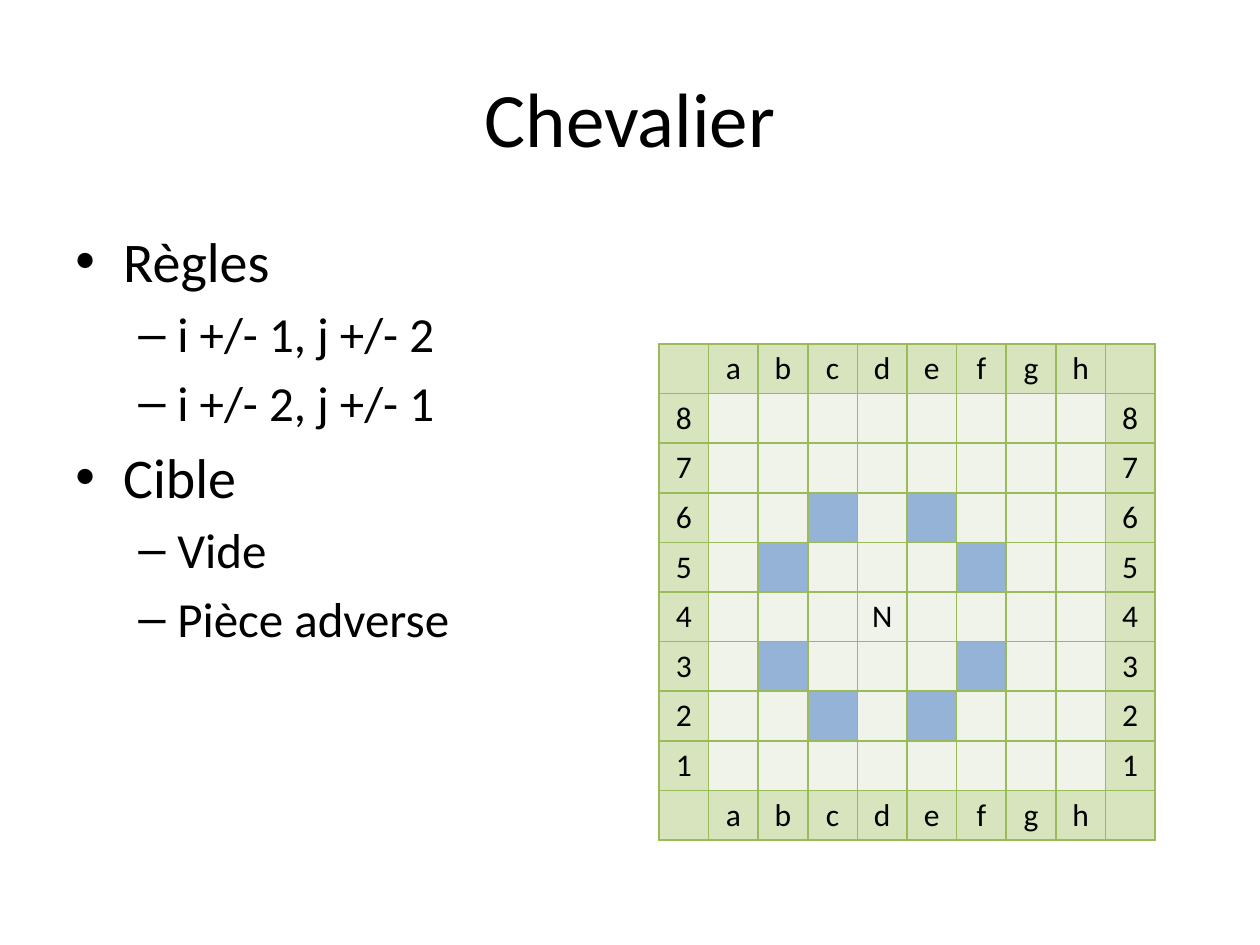
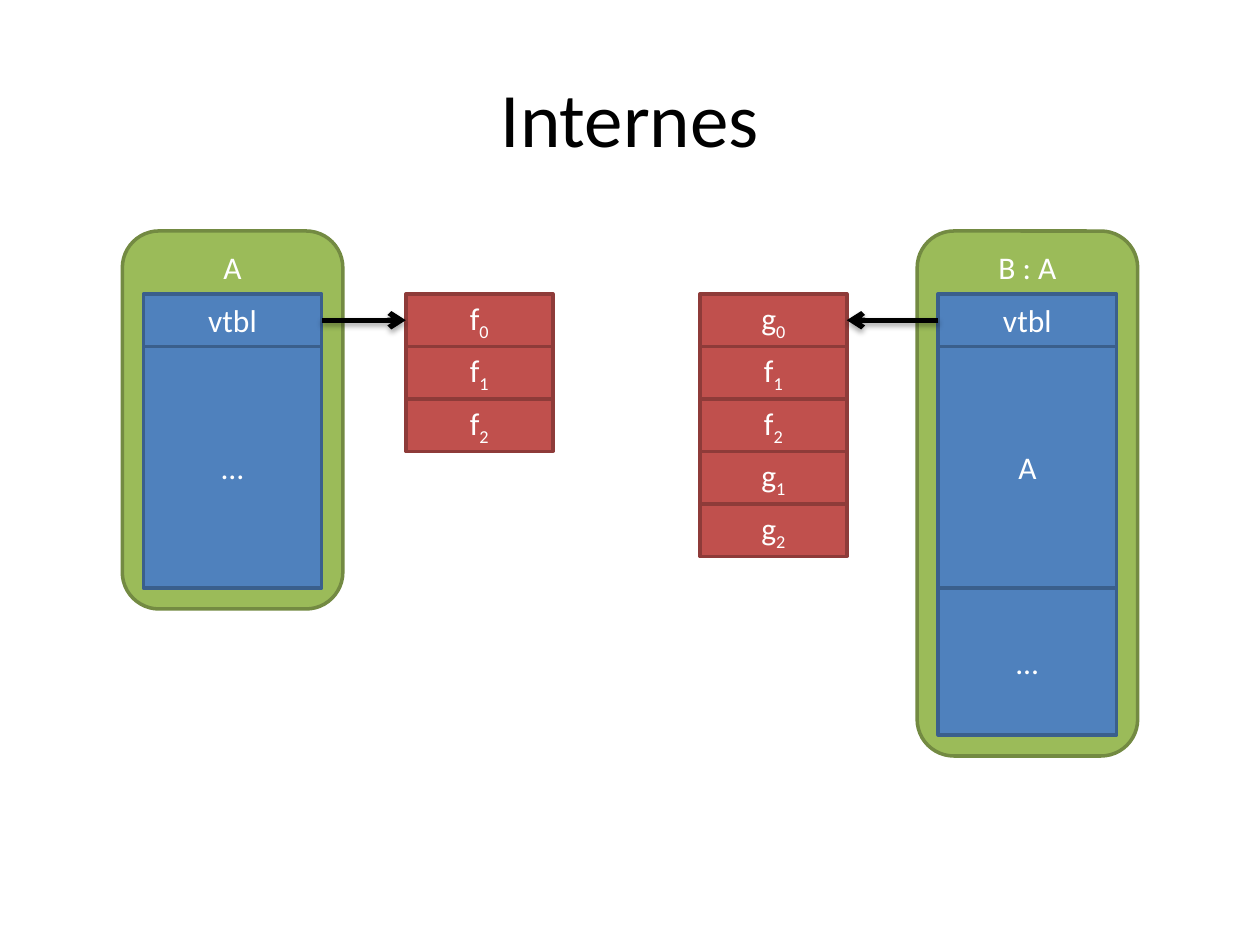
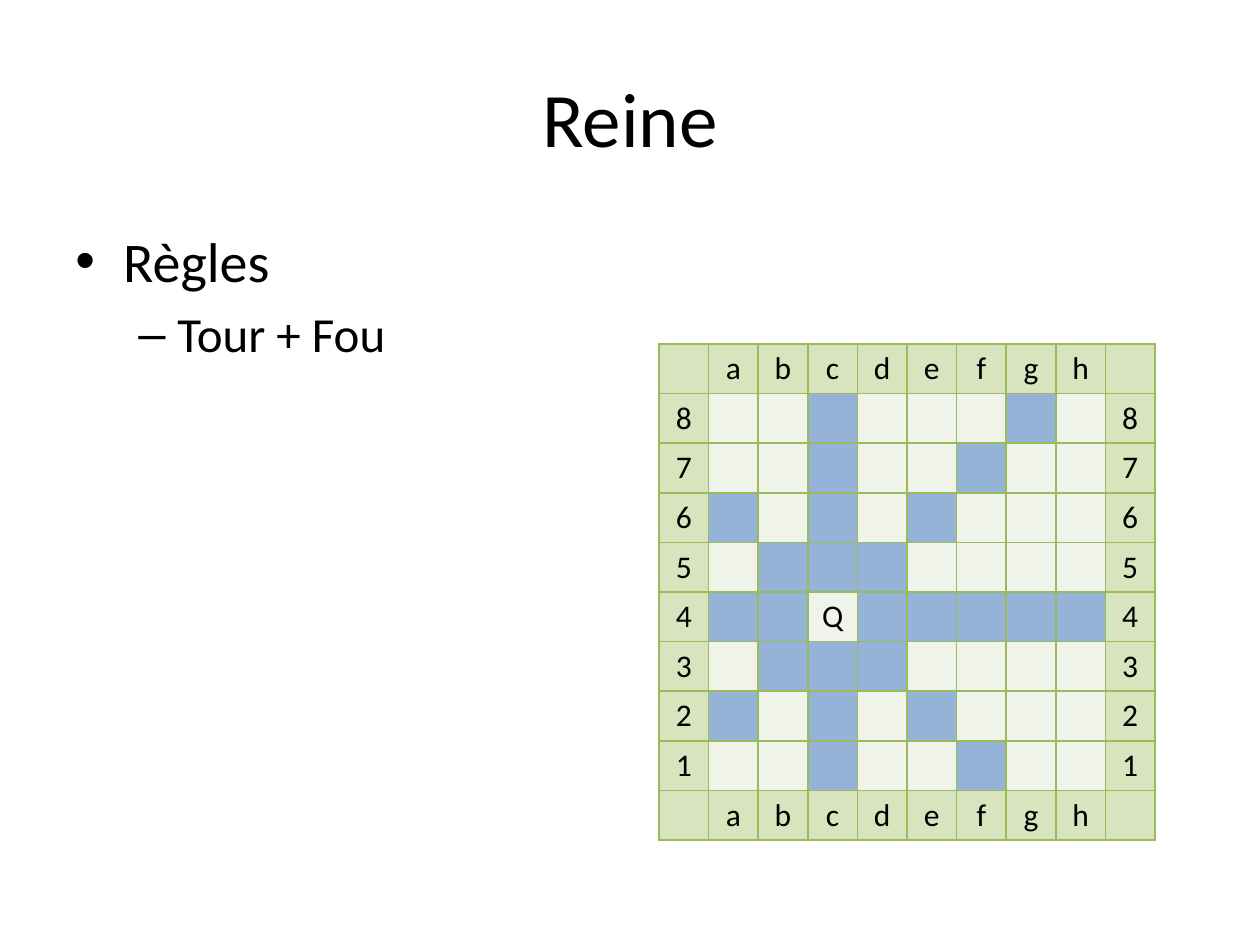
from lxml import etree
from pptx import Presentation
from pptx.dml.color import RGBColor
from pptx.enum.shapes import MSO_CONNECTOR, MSO_SHAPE
from pptx.enum.text import MSO_ANCHOR, PP_ALIGN
from pptx.oxml import parse_xml
from pptx.oxml.ns import qn
from pptx.util import Inches, Pt

RECT, ROUND = MSO_SHAPE.RECTANGLE, MSO_SHAPE.ROUNDED_RECTANGLE
LINE = MSO_CONNECTOR.STRAIGHT
LEFT, CENTER = PP_ALIGN.LEFT, PP_ALIGN.CENTER
TOP, MIDDLE = MSO_ANCHOR.TOP, MSO_ANCHOR.MIDDLE

WIDE, HIGH = 10, 7.5
COLS, ROWS = 24, 18
FONT = "Calibri"
HUES = {
    "ink": "000000", "paper": "FFFFFF",
    "class": "9BBB59", "class_edge": "738A42",
    "field": "4F81BD", "field_edge": "3A5F8C",
    "entry": "C0504D", "entry_edge": "8E3B39",
    "rim": "D7E4BD", "square": "EFF3EA", "move": "95B3D7", "grid": "9BBB59",
}
FILES = "abcdefgh"
RANKS = "87654321"
LEVELS = [("•", 32, 0.38, 0.38), ("–", 28, 0.81, 0.31)]
SHADOW = (
    '<a:effectLst xmlns:a="http://schemas.openxmlformats.org/drawingml/2006/main">'
    '<a:outerShdw blurRad="40000" dist="23000" dir="5400000" rotWithShape="0">'
    '<a:srgbClr val="000000"><a:alpha val="35000"/></a:srgbClr>'
    '</a:outerShdw></a:effectLst>'
)


def hue(name):
    return RGBColor.from_string(HUES[name])


def col(n):
    return Inches(n * WIDE / COLS)


def row(n):
    return Inches(n * HIGH / ROWS)


def write(par, text, size=18, color="ink", align=CENTER):
    par.alignment = align
    base, _, index = text.partition("_")
    for part, low in ((base, False), (index, True)):
        if part:
            run = par.add_run()
            run.text = part
            run.font.name = FONT
            run.font.size = Pt(size)
            run.font.color.rgb = hue(color)
            if low:
                run._r.get_or_add_rPr().set("baseline", "-25000")


def frame(slide, top, height):
    box = slide.shapes.add_textbox(
        Inches(WIDE * 0.05), Inches(top), Inches(WIDE * 0.9), Inches(height))
    box.text_frame.word_wrap = True
    return box.text_frame


def page(deck, title):
    slide = deck.slides.add_slide(deck.slide_layouts[6])
    head = frame(slide, HIGH * 0.04, 1.25)
    head.vertical_anchor = MIDDLE
    write(head.paragraphs[0], title, size=44)
    return slide


def rules(slide, items):
    body = frame(slide, 1.75, 4.95)
    for n, (level, text) in enumerate(items):
        mark, size, left, hang = LEVELS[level]
        par = body.add_paragraph() if n else body.paragraphs[0]
        props = par._p.get_or_add_pPr()
        props.set("marL", str(Inches(left)))
        props.set("indent", str(-Inches(hang)))
        etree.SubElement(props, qn("a:buFont")).set("typeface", "Arial")
        etree.SubElement(props, qn("a:buChar")).set("char", mark)
        if n:
            par.space_before = Pt(size * 0.2)
        write(par, text, size=size, align=LEFT)


def edge(cell):
    props = cell._tc.get_or_add_tcPr()
    for side in ("lnL", "lnR", "lnT", "lnB"):
        line = etree.SubElement(props, qn("a:" + side))
        line.set("w", str(Pt(1)))
        fill = etree.SubElement(line, qn("a:solidFill"))
        etree.SubElement(fill, qn("a:srgbClr")).set("val", HUES["grid"])


def knight(dx, dy):
    return abs(dx * dy) == 2


def queen(dx, dy):
    return (dx, dy) != (0, 0) and (dx * dy == 0 or abs(dx) == abs(dy))


def board(slide, piece, spot, reach):
    count = len(FILES) + 2
    side = Inches(3.94)
    table = slide.shapes.add_table(
        count, count, Inches(5.23), Inches(2.73), side, side).table
    files, ranks = ["", *FILES, ""], ["", *RANKS, ""]
    home = files.index(spot[0]), ranks.index(spot[1])
    for y, rank in enumerate(ranks):
        for x, file in enumerate(files):
            cell = table.cell(y, x)
            if not (file and rank):
                color, text = "rim", file or rank
            else:
                hit = reach(x - home[0], y - home[1])
                color = "move" if hit else "square"
                text = piece if (x, y) == home else ""
            edge(cell)
            cell.fill.solid()
            cell.fill.fore_color.rgb = hue(color)
            cell.margin_left = cell.margin_right = 0
            cell.margin_top = cell.margin_bottom = 0
            cell.vertical_anchor = MIDDLE
            write(cell.text_frame.paragraphs[0], text)


def block(slide, text, kind, x, y, w, h, form=RECT, anchor=MIDDLE):
    shape = slide.shapes.add_shape(form, col(x), row(y), col(w), row(h))
    shape.shadow.inherit = False
    shape.fill.solid()
    shape.fill.fore_color.rgb = hue(kind)
    shape.line.color.rgb = hue(kind + "_edge")
    shape.line.width = Pt(2)
    shape.text_frame.vertical_anchor = anchor
    write(shape.text_frame.paragraphs[0], text, color="paper")


def stack(slide, kind, x, y, w, parts):
    for text, h in parts:
        block(slide, text, kind, x, y, w, h)
        y += h


def layout(slide, name, x, fields):
    pad, top, head = 0.4, 4.4, 1.2
    tall = head + sum(h for _, h in fields) + pad
    block(slide, name, "class", x, top, 4.2, tall, form=ROUND, anchor=TOP)
    stack(slide, "field", x + pad, top + head, 3.4, fields)


def vtable(slide, x, names):
    stack(slide, "entry", x, 5.6, 2.8, [(name, 1) for name in names])


def arrow(slide, start, end):
    y = row(6.1)
    link = slide.shapes.add_connector(LINE, col(start), y, col(end), y)
    link.line.color.rgb = hue("ink")
    link.line.width = Pt(3)
    tip = etree.SubElement(link.line._get_or_add_ln(), qn("a:tailEnd"))
    tip.set("type", "arrow")
    link._element.spPr.append(parse_xml(SHADOW))


def main():
    deck = Presentation()
    deck.slide_width, deck.slide_height = Inches(WIDE), Inches(HIGH)

    slide = page(deck, "Chevalier")
    board(slide, "N", "d4", knight)
    rules(slide, [
        (0, "Règles"), (1, "i +/- 1, j +/- 2"), (1, "i +/- 2, j +/- 1"),
        (0, "Cible"), (1, "Vide"), (1, "Pièce adverse"),
    ])

    slide = page(deck, "Internes")
    layout(slide, "A", 2.33, [("vtbl", 1), ("…", 4.6)])
    vtable(slide, 7.73, ["f_0", "f_1", "f_2"])
    arrow(slide, 6.13, 7.73)
    layout(slide, "B : A", 17.47, [("vtbl", 1), ("A", 4.6), ("…", 2.8)])
    vtable(slide, 13.33, ["g_0", "f_1", "f_2", "g_1", "g_2"])
    arrow(slide, 17.87, 16.13)

    slide = page(deck, "Reine")
    board(slide, "Q", "c4", queen)
    rules(slide, [(0, "Règles"), (1, "Tour + Fou")])

    deck.save("out.pptx")


if __name__ == "__main__":
    main()
